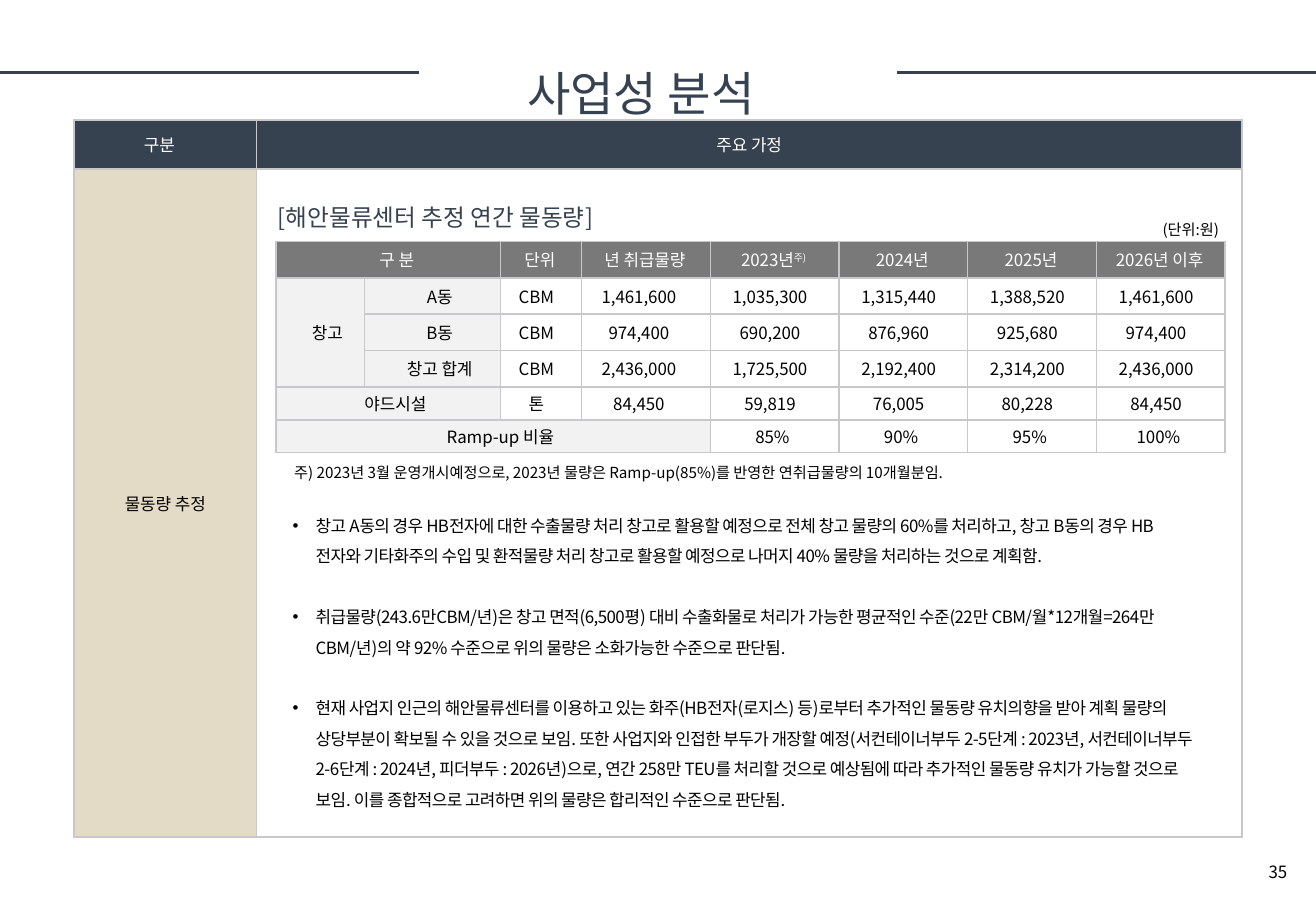
from dataclasses import dataclass

from lxml.etree import SubElement
from pptx import Presentation
from pptx.dml.color import RGBColor
from pptx.enum.shapes import MSO_CONNECTOR
from pptx.enum.text import MSO_ANCHOR as Anchor, PP_ALIGN as Align
from pptx.oxml import parse_xml
from pptx.oxml.ns import nsdecls, qn
from pptx.util import Cm, Pt


@dataclass(frozen=True)
class Theme:
    font: str = "Noto Sans CJK KR"
    navy: str = "364250"
    sand: str = "E4DBC6"
    grey: str = "797979"
    pale: str = "F2F2F2"
    border: str = "C8C8CA"
    black: str = "000000"
    white: str = "FFFFFF"
    title: float = 28
    heading: float = 14
    body: float = 10
    note: float = 9


THEME = Theme()
BOX_INSETS = (0.25, 0.13, 0.25, 0.13)
NO_INSETS = (0, 0, 0, 0)


class SlideBuilder:
    def __init__(self, slide, theme):
        self.slide = slide
        self.theme = theme

    def add_run(self, paragraph, text, size, color, spacing=0, raised=0):
        run = paragraph.add_run()
        run.text = text
        run.font.size = Pt(size)
        run.font.name = self.theme.font
        run.font.color.rgb = RGBColor.from_string(color)
        props = run.font._element
        SubElement(props, qn("a:ea")).set("typeface", self.theme.font)
        if spacing:
            props.set("spc", str(round(spacing * 100)))
        if raised:
            props.set("baseline", str(raised * 1000))

    def line(self, start, end, y):
        rule = self.slide.shapes.add_connector(
            MSO_CONNECTOR.STRAIGHT, Cm(start), Cm(y), Cm(end), Cm(y))
        rule.line.color.rgb = RGBColor.from_string(self.theme.navy)
        rule.line.width = Pt(1.75)
        SubElement(rule._element.spPr, qn("a:effectLst"))

    def frame(self, box, insets=BOX_INSETS, anchor=Anchor.TOP):
        frame = self.slide.shapes.add_textbox(*map(Cm, box)).text_frame
        frame.word_wrap = True
        frame.vertical_anchor = anchor
        (frame.margin_left, frame.margin_top,
         frame.margin_right, frame.margin_bottom) = map(Cm, insets)
        return frame

    def text(self, box, text, size, color, align=Align.LEFT, line_spacing=1,
             insets=BOX_INSETS, anchor=Anchor.TOP):
        paragraph = self.frame(box, insets, anchor).paragraphs[0]
        paragraph.alignment = align
        paragraph.line_spacing = line_spacing
        self.add_run(paragraph, text, size, color)

    def bullets(self, box, items, gap):
        frame = self.frame(box)
        for index, item in enumerate(items):
            paragraph = frame.add_paragraph() if index else frame.paragraphs[0]
            paragraph.line_spacing = 1.5
            if index:
                paragraph.space_before = Pt(gap)
            props = paragraph._p.get_or_add_pPr()
            props.set("marL", str(Cm(0.48)))
            props.set("indent", str(-Cm(0.48)))
            SubElement(props, qn("a:buFont")).set("typeface", "Arial")
            SubElement(props, qn("a:buChar")).set("char", "•")
            self.add_run(paragraph, item, self.theme.body, self.theme.black, spacing=-0.3)

    def table(self, left, top, widths, heights):
        table = self.slide.shapes.add_table(
            len(heights), len(widths), Cm(left), Cm(top),
            Cm(sum(widths)), Cm(sum(heights))).table
        table.first_row = table.horz_banding = False
        for column, width in zip(table.columns, widths):
            column.width = Cm(width)
        for row, height in zip(table.rows, heights):
            row.height = Cm(height)
        for cell in table.iter_cells():
            self.cell(cell)
        return table

    def cell(self, cell, text="", fill=None, color=None, insets=NO_INSETS, superscript=""):
        (cell.margin_left, cell.margin_top,
         cell.margin_right, cell.margin_bottom) = map(Cm, insets)
        cell.vertical_anchor = Anchor.MIDDLE
        props = cell._tc.get_or_add_tcPr()
        if props.find(qn("a:lnL")) is None:
            for index, side in enumerate("LRTB"):
                props.insert(index, parse_xml(
                    f'<a:ln{side} {nsdecls("a")} w="{Pt(1)}"><a:solidFill>'
                    f'<a:srgbClr val="{self.theme.border}"/></a:solidFill></a:ln{side}>'))
        if fill:
            cell.fill.solid()
            cell.fill.fore_color.rgb = RGBColor.from_string(fill)
        else:
            cell.fill.background()
        paragraph = cell.text_frame.paragraphs[0]
        paragraph.alignment = Align.CENTER
        if text:
            size, color = self.theme.body, color or self.theme.black
            self.add_run(paragraph, text, size, color)
            if superscript:
                self.add_run(paragraph, superscript, size, color, raised=30)
        # Keeps empty cells from stretching their row
        end = paragraph._p.find(qn("a:endParaRPr"))
        if end is not None:
            paragraph._p.remove(end)
        SubElement(paragraph._p, qn("a:endParaRPr")).set("sz", str(self.theme.body * 100))


HEADERS = ["단위", "년 취급물량", "2023년", "2024년", "2025년", "2026년 이후"]
VOLUMES = [
    ["A동", "CBM", "1,461,600", "1,035,300", "1,315,440", "1,388,520", "1,461,600"],
    ["B동", "CBM", "974,400", "690,200", "876,960", "925,680", "974,400"],
    ["창고 합계", "CBM", "2,436,000", "1,725,500", "2,192,400", "2,314,200", "2,436,000"],
    ["야드시설", "톤", "84,450", "59,819", "76,005", "80,228", "84,450"],
]
RAMP_UP = ["85%", "90%", "95%", "100%"]
ASSUMPTIONS = [
    "창고 A동의 경우 HB전자에 대한 수출물량 처리 창고로 활용할 예정으로 전체 창고 물량의 60%를 "
    "처리하고, 창고 B동의 경우 HB전자와 기타화주의 수입 및 환적물량 처리 창고로 활용할 예정으로 "
    "나머지 40% 물량을 처리하는 것으로 계획함.",
    "취급물량(243.6만CBM/년)은 창고 면적(6,500평) 대비 수출화물로 처리가 가능한 평균적인 "
    "수준(22만 CBM/월*12개월=264만CBM/년)의 약 92% 수준으로 위의 물량은 소화가능한 수준으로 판단됨.",
    "현재 사업지 인근의 해안물류센터를 이용하고 있는 화주(HB전자(로지스) 등)로부터 추가적인 물동량 "
    "유치의향을 받아 계획 물량의 상당부분이 확보될 수 있을 것으로 보임. 또한 사업지와 인접한 부두가 "
    "개장할 예정(서컨테이너부두 2-5단계 : 2023년, 서컨테이너부두 2-6단계 : 2024년, 피더부두 : "
    "2026년)으로, 연간 258만 TEU를 처리할 것으로 예상됨에 따라 추가적인 물동량 유치가 가능할 것으로 "
    "보임. 이를 종합적으로 고려하면 위의 물량은 합리적인 수준으로 판단됨.",
]


def add_volume_table(page):
    volumes = page.table(5.77, 5.05, [1.85, 2.84, 1.7] + [2.69] * 5,
                         [0.76] * 4 + [0.69] * 2)
    for first, last in [((0, 0), (0, 1)), ((1, 0), (3, 0)),
                        ((4, 0), (4, 1)), ((5, 0), (5, 3))]:
        volumes.cell(*first).merge(volumes.cell(*last))

    # Header row
    page.cell(volumes.cell(0, 0), "구 분", THEME.grey, THEME.white, (0.36, 0, 0, 0))
    for column, header in enumerate(HEADERS, 2):
        page.cell(volumes.cell(0, column), header, THEME.grey, THEME.white,
                  (0, 0, 0.05, 0), superscript="주)" if header == "2023년" else "")

    # Row labels and yearly volumes
    label_insets = (0.3, 0, 0, 0)
    page.cell(volumes.cell(1, 0), "창고", THEME.pale, insets=label_insets)
    for row, (label, *values) in enumerate(VOLUMES, 1):
        label_column = 0 if label == "야드시설" else 1
        page.cell(volumes.cell(row, label_column), label, THEME.pale, insets=label_insets)
        for column, value in enumerate(values, 2):
            page.cell(volumes.cell(row, column), value,
                      insets=(0, 0, 0.3 if column == 3 else 0.2, 0))

    # Ramp-up row
    page.cell(volumes.cell(5, 0), "Ramp-up 비율", THEME.pale, insets=label_insets)
    for column, rate in enumerate(RAMP_UP, 4):
        page.cell(volumes.cell(5, column), rate, insets=(0, 0, 0.1, 0))


def main():
    deck = Presentation()
    deck.slide_width, deck.slide_height = Cm(27.51), Cm(19.05)
    page = SlideBuilder(deck.slides.add_slide(deck.slide_layouts[6]), THEME)

    # Title rules
    page.line(0, 8.76, 1.52)
    page.line(18.76, 27.51, 1.52)

    # Outer table
    outline = page.table(1.55, 2.51, [3.81, 20.6], [1.02, 13.97])
    page.cell(outline.cell(0, 0), "구분", THEME.navy, THEME.white, (0, 0.13, 0.25, 0.13))
    page.cell(outline.cell(0, 1), "주요 가정", THEME.navy, THEME.white, BOX_INSETS)
    page.cell(outline.cell(1, 0), "물동량 추정", THEME.sand, insets=BOX_INSETS)

    # Page number and title
    page.text((20.96, 17.73, 6.2, 1.02), "35", THEME.body, THEME.black,
              Align.RIGHT, anchor=Anchor.MIDDLE)
    page.text((10.77, 0.03, 9.98, 2.36), "사업성 분석", THEME.title, THEME.navy,
              Align.JUSTIFY, line_spacing=2)

    # Volume estimate
    add_volume_table(page)
    page.text((6.15, 9.68, 14.73, 0.38),
              "주) 2023년 3월 운영개시예정으로, 2023년 물량은 Ramp-up(85%)를 반영한 "
              "연취급물량의 10개월분임.", THEME.note, THEME.black, insets=NO_INSETS)
    page.text((5.56, 4.11, 13.79, 0.86), "[해안물류센터 추정 연간 물동량]",
              THEME.heading, THEME.navy)
    page.bullets((5.87, 10.44, 19.3, 6.6), ASSUMPTIONS, gap=18)
    page.text((21.77, 4.6, 3.71, 0.38), "(단위:원)", THEME.note, THEME.black,
              Align.RIGHT, insets=NO_INSETS)

    deck.save("out.pptx")


if __name__ == "__main__":
    main()
